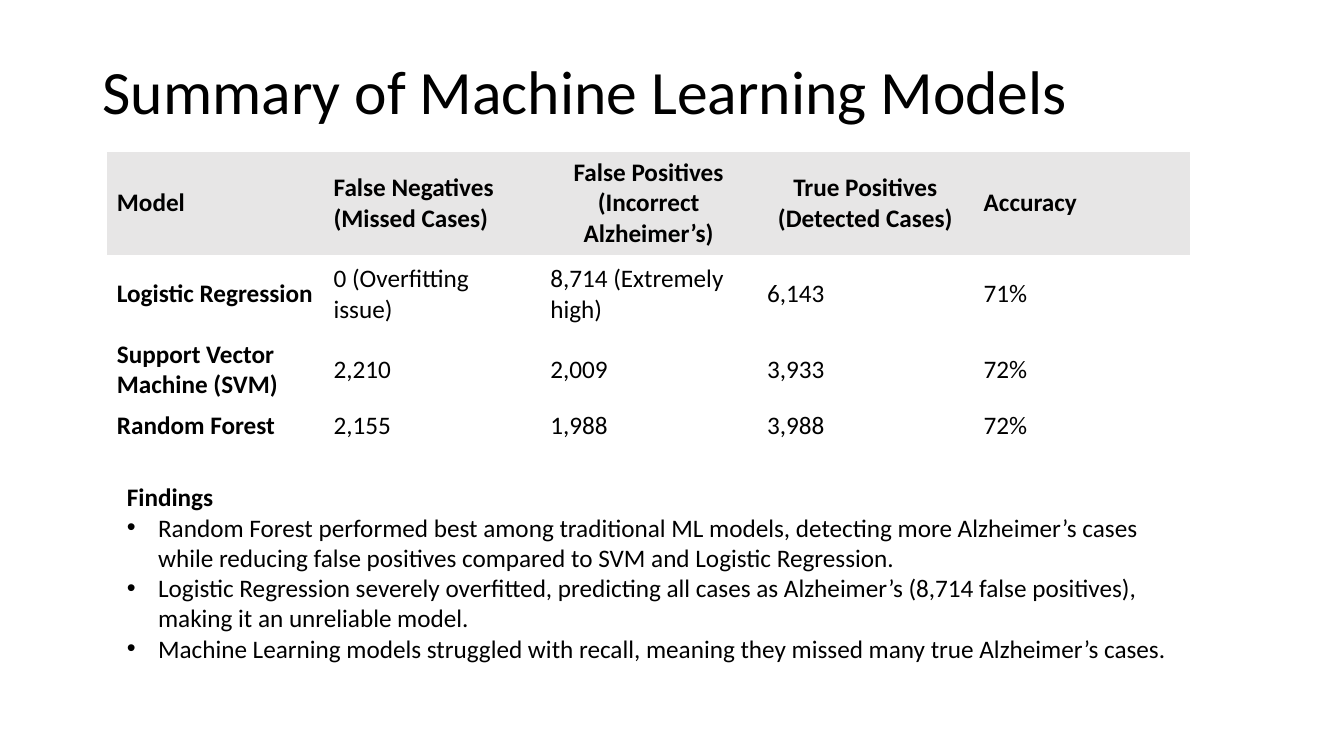
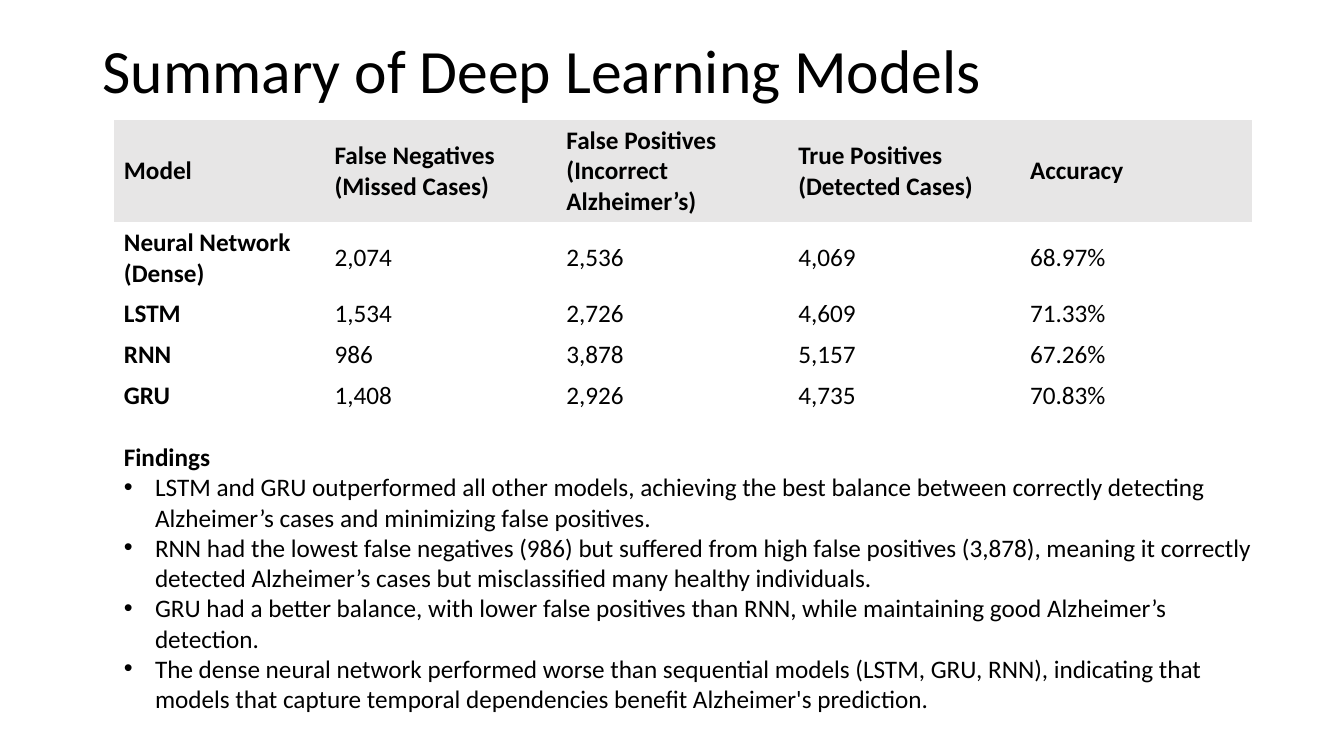
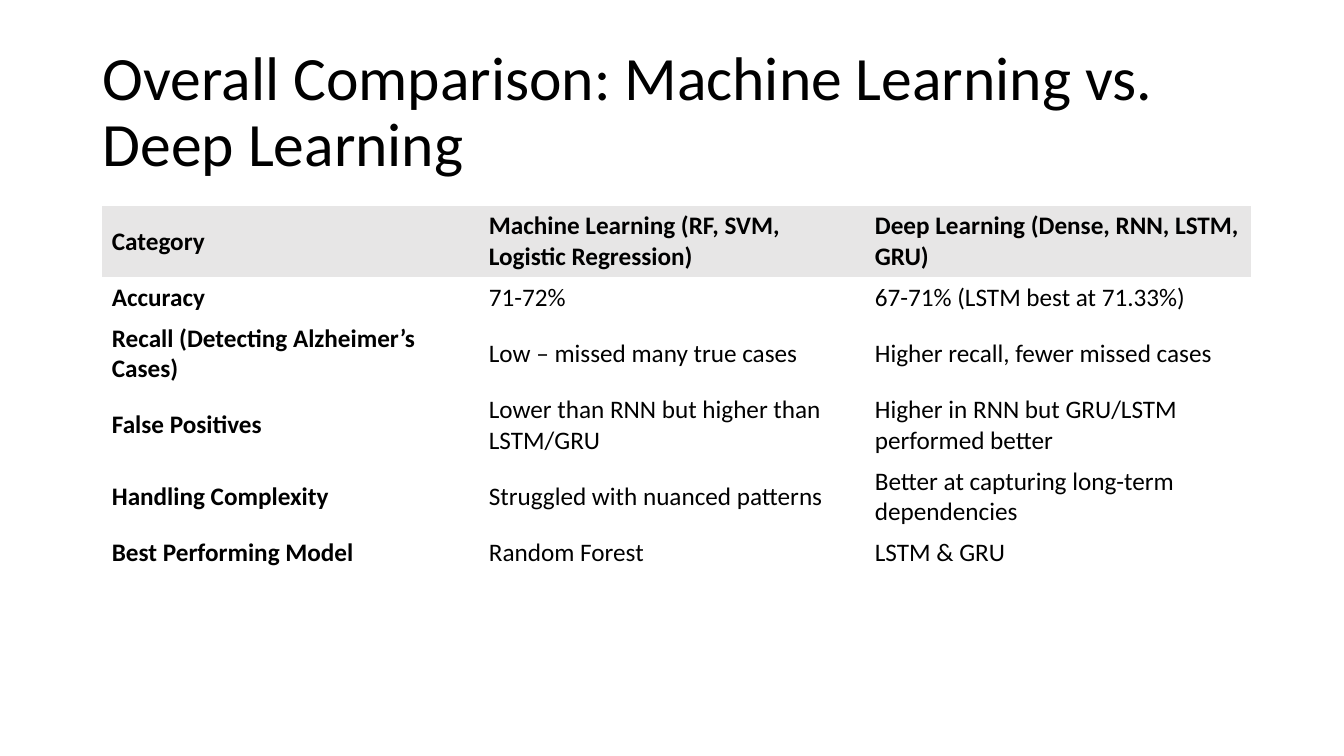
from pptx import Presentation
from pptx.dml.color import RGBColor
from pptx.enum.text import MSO_ANCHOR as Anchor, PP_ALIGN as Align
from pptx.oxml.ns import qn
from pptx.util import Inches, Pt
from lxml.etree import SubElement

COLORS = {"text": "000000", "header": "E7E6E6"}
FONT = "Calibri"
TITLE_SIZE, BODY_SIZE = 44, 18
GRID_COLUMNS, GRID_ROWS = 40, 30
LINE, PADDING = 1.22, 0.4  # table text line and cell padding, in grid rows
BULLET_INDENT = Inches(0.31)
PLAIN_TABLE = "{2D5ABB26-0587-4C30-8999-92F81FD0307C}"


def write(para, text, size=BODY_SIZE, bold=False, align=Align.LEFT,
          spacing=None, bullet=False):
    """Put formatted text into a paragraph."""
    span = para.add_run()
    span.text = text
    span.font.name = FONT
    span.font.size = Pt(size)
    span.font.bold = bold
    span.font.color.rgb = RGBColor.from_string(COLORS["text"])
    para.alignment = align
    if spacing:
        para.line_spacing = spacing
    if bullet:
        properties = para._p.get_or_add_pPr()
        properties.set("marL", str(BULLET_INDENT))
        properties.set("indent", str(-BULLET_INDENT))
        SubElement(properties, qn("a:buFont")).set("typeface", "Arial")
        SubElement(properties, qn("a:buChar")).set("char", "•")


class Slides:
    """Holds the deck, its grid and the current page."""

    def __init__(self):
        self.deck = Presentation()
        self.deck.slide_width = Inches(13.33)
        self.deck.slide_height = Inches(7.5)
        self.page = None

    def across(self, columns):
        return round(self.deck.slide_width * columns / GRID_COLUMNS)

    def down(self, rows):
        return round(self.deck.slide_height * rows / GRID_ROWS)

    def place(self, left, top, width, height):
        return (self.across(left), self.down(top),
                self.across(width), self.down(height))

    def new_page(self, title, top):
        self.page = self.deck.slides.add_slide(self.deck.slide_layouts[6])
        frame = self.text_frame(2.76, top, 34.5, 5.8)
        frame.vertical_anchor = Anchor.MIDDLE
        write(frame.paragraphs[0], title, size=TITLE_SIZE, spacing=0.9)

    def text_frame(self, left, top, width, height):
        box = self.page.shapes.add_textbox(*self.place(left, top, width, height))
        box.text_frame.word_wrap = True
        return box.text_frame

    def findings(self, left, top, width, height, points):
        frame = self.text_frame(left, top, width, height)
        write(frame.paragraphs[0], "Findings", bold=True)
        for point in points:
            write(frame.add_paragraph(), point, bullet=True)

    def table(self, left, top, widths, lines, rows, centred=()):
        """Draw a table; lines gives each row's height in text lines,
        centred the header columns to centre."""
        heights = [PADDING + LINE * count for count in lines]
        table = self.page.shapes.add_table(
            len(rows), len(widths),
            *self.place(left, top, sum(widths), sum(heights))).table
        table.horz_banding = False
        table._tbl.tblPr.find(qn("a:tableStyleId")).text = PLAIN_TABLE
        for column, width in zip(table.columns, widths):
            column.width = self.across(width)
        for y, (row, height) in enumerate(zip(rows, heights)):
            table.rows[y].height = self.down(height)
            for x, text in enumerate(row):
                self.fill_cell(table.cell(y, x), text, header=y == 0,
                               bold=y == 0 or x == 0,
                               centre=y == 0 and x in centred)

    def fill_cell(self, cell, text, header, bold, centre):
        cell.vertical_anchor = Anchor.MIDDLE
        if header:
            cell.fill.solid()
            cell.fill.fore_color.rgb = RGBColor.from_string(COLORS["header"])
        else:
            cell.fill.background()
        write(cell.text_frame.paragraphs[0], text, bold=bold,
              align=Align.CENTER if centre else Align.LEFT)


MODEL_HEADER = ["Model", "False Negatives (Missed Cases)",
                "False Positives (Incorrect Alzheimer’s)",
                "True Positives (Detected Cases)", "Accuracy"]


def main():
    slides = Slides()

    # Machine learning models
    slides.new_page("Summary of Machine Learning Models", top=0.84)
    slides.table(3.18, 6.04, [6.45] * 5, [3, 2.26, 2, 1], [
        MODEL_HEADER,
        ["Logistic Regression", "0 (Overfitting issue)",
         "8,714 (Extremely high)", "6,143", "71%"],
        ["Support Vector Machine (SVM)", "2,210", "2,009", "3,933", "72%"],
        ["Random Forest", "2,155", "1,988", "3,988", "72%"],
    ], centred=(2, 3))
    slides.findings(3.48, 18.92, 31.95, 7.68, [
        "Random Forest performed best among traditional ML models, detecting "
        "more Alzheimer’s cases while reducing false positives compared to "
        "SVM and Logistic Regression.",
        "Logistic Regression severely overfitted, predicting all cases as "
        "Alzheimer’s (8,714 false positives), making it an unreliable model.",
        "Machine Learning models struggled with recall, meaning they missed "
        "many true Alzheimer’s cases.",
    ])

    # Deep learning models
    slides.new_page("Summary of Deep Learning Models", top=0)
    slides.table(3.39, 4.76, [6.27] + [6.9] * 4, [3, 2, 1, 1, 1], [
        MODEL_HEADER,
        ["Neural Network (Dense)", "2,074", "2,536", "4,069", "68.97%"],
        ["LSTM", "1,534", "2,726", "4,609", "71.33%"],
        ["RNN", "986", "3,878", "5,157", "67.26%"],
        ["GRU", "1,408", "2,926", "4,735", "70.83%"],
    ])
    slides.findings(3.39, 17.32, 34.83, 11.32, [
        "LSTM and GRU outperformed all other models, achieving the best "
        "balance between correctly detecting Alzheimer’s cases and "
        "minimizing false positives.",
        "RNN had the lowest false negatives (986) but suffered from high "
        "false positives (3,878), meaning it correctly detected Alzheimer’s "
        "cases but misclassified many healthy individuals.",
        "GRU had a better balance, with lower false positives than RNN, "
        "while maintaining good Alzheimer’s detection.",
        "The dense neural network performed worse than sequential models "
        "(LSTM, GRU, RNN), indicating that models that capture temporal "
        "dependencies benefit Alzheimer's prediction.",
    ])

    # Overall comparison
    slides.new_page("Overall Comparison: Machine Learning vs. Deep Learning",
                    top=1.6)
    slides.table(3.03, 8.16, [11.22, 11.49, 11.49], [2, 1, 2, 2, 2, 1], [
        ["Category", "Machine Learning (RF, SVM, Logistic Regression)",
         "Deep Learning (Dense, RNN, LSTM, GRU)"],
        ["Accuracy", "71-72%", "67-71% (LSTM best at 71.33%)"],
        ["Recall (Detecting Alzheimer’s Cases)",
         "Low – missed many true cases", "Higher recall, fewer missed cases"],
        ["False Positives", "Lower than RNN but higher than LSTM/GRU",
         "Higher in RNN but GRU/LSTM performed better"],
        ["Handling Complexity", "Struggled with nuanced patterns",
         "Better at capturing long-term dependencies"],
        ["Best Performing Model", "Random Forest", "LSTM & GRU"],
    ])

    slides.deck.save("out.pptx")


if __name__ == "__main__":
    main()
